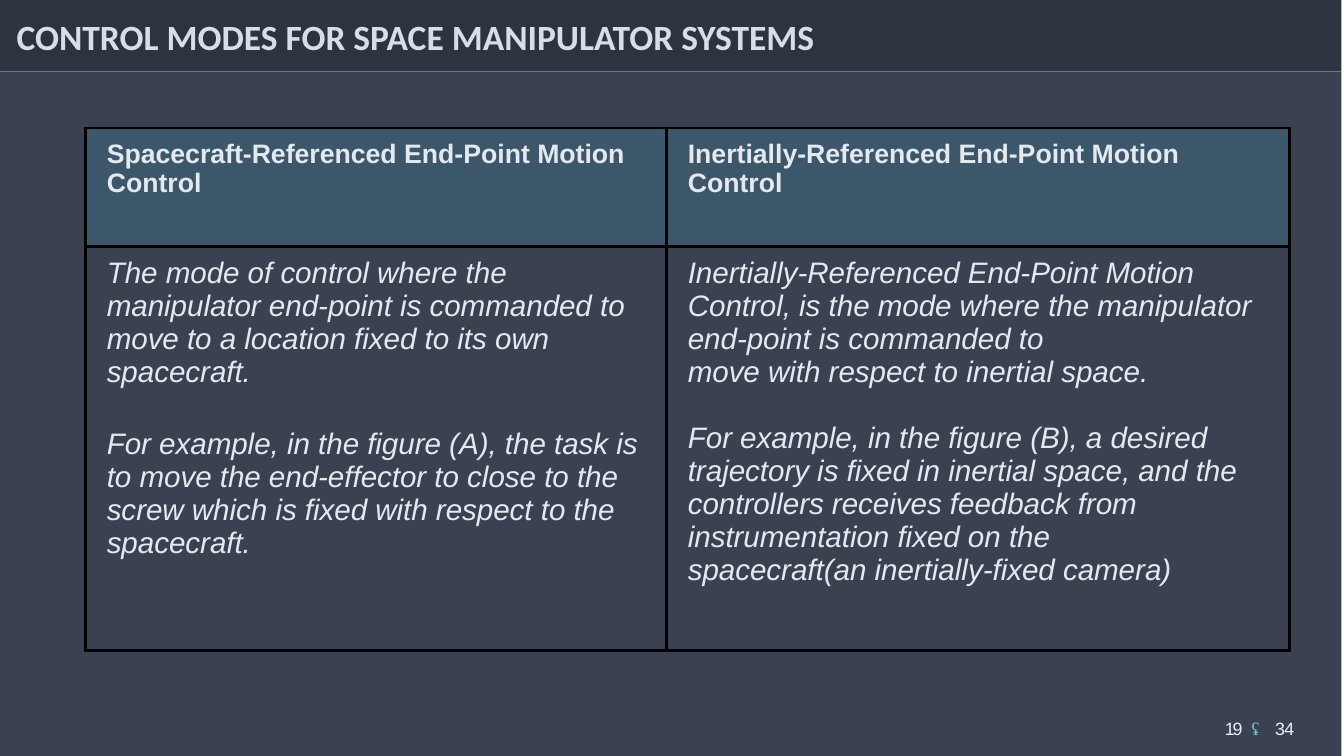
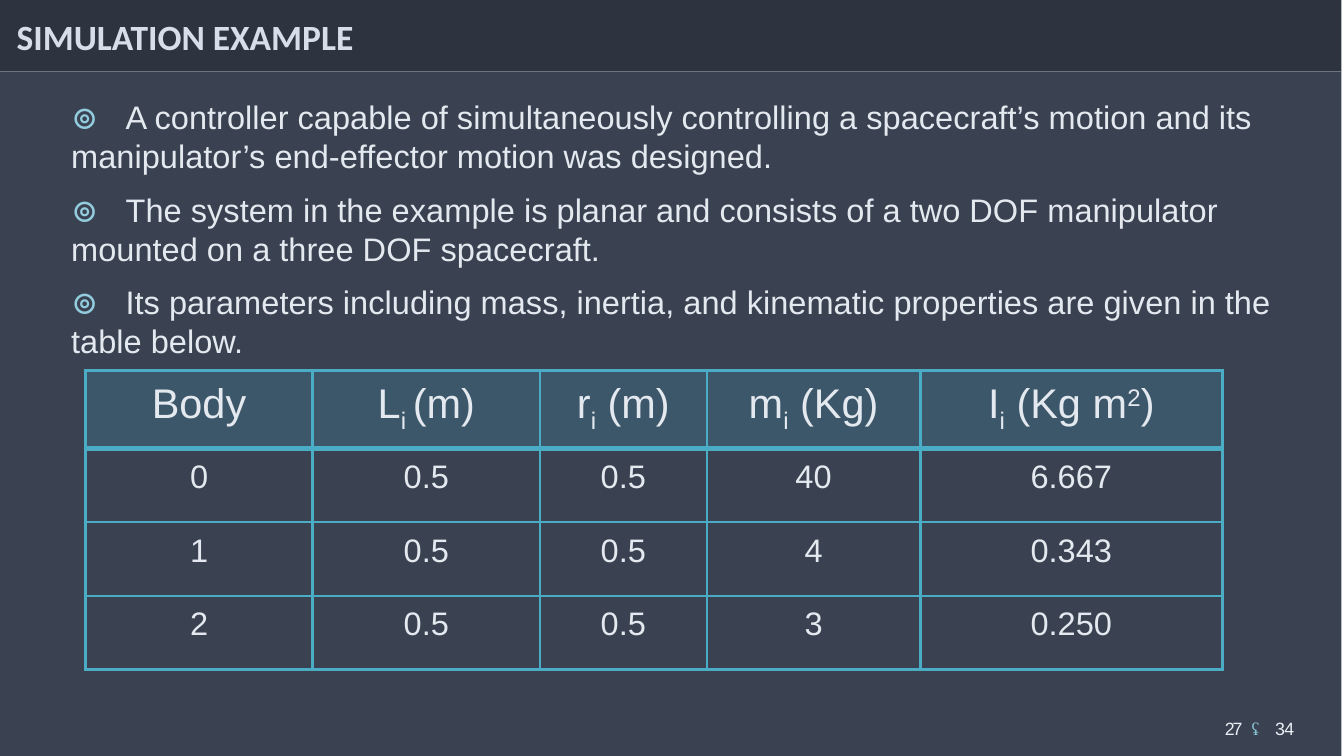
"""Build two slides on the control of space manipulators."""
from dataclasses import dataclass, field

from lxml import etree
from pptx import Presentation
from pptx.dml.color import RGBColor
from pptx.enum.shapes import MSO_CONNECTOR, MSO_SHAPE
from pptx.enum.text import PP_ALIGN
from pptx.oxml.ns import qn
from pptx.util import Cm, Pt

RECTANGLE = MSO_SHAPE.RECTANGLE
STRAIGHT = MSO_CONNECTOR.STRAIGHT
LEFT, CENTER = PP_ALIGN.LEFT, PP_ALIGN.CENTER

COLORS = {
    "body": "3A4252",
    "band": "2D3440",
    "seam": "6B757F",
    "title": "D7DEE9",
    "text": "E4E9EF",
    "header": "3D576A",
    "number": "EBEEF4",
    "ornament": "87C0D0",
    "bullet": "93CDDD",
    "black": "000000",
    "grid": "4BACC6",
}
WIDTH, HEIGHT = 16.03, 9.02
PANEL_WIDTH, BAND_HEIGHT = 16.0, 0.85
LAST_PAGE = "34"
SUB, SUP = -25, 30


@dataclass
class Run:
    """A piece of text with its own format."""
    text: str
    fmt: dict = field(default_factory=dict)


@dataclass
class Para:
    """A paragraph with its spacing, indent and tab stops."""
    runs: list[Run]
    before: float = 0
    after: float = 0
    align: PP_ALIGN = LEFT
    indent: float = 0
    tabs: tuple[float, ...] = ()


@dataclass
class Grid:
    """A table with its column widths, row heights and look."""
    left: float
    top: float
    cols: list[float]
    rows: list[float]
    cells: list[list[list[Para]]]
    border: str
    header_rule: float


def rgb(name: str) -> RGBColor:
    """Return a named colour."""
    return RGBColor.from_string(COLORS[name])


def add_run(p, text: str, *, size: float = 11, font: str = "Arial", color: str = "text",
            bold: bool = False, italic: bool = False, spacing: float = 0, base: int = 0) -> None:
    """Add formatted text to a paragraph, with a line break at each newline."""
    for i, line in enumerate(text.split("\n")):
        if i:
            p.add_line_break()
        r = p.add_run()
        r.text = line
        r.font.size, r.font.name = Pt(size), font
        r.font.bold, r.font.italic = bold, italic
        r.font.color.rgb = rgb(color)
        rpr = r._r.get_or_add_rPr()
        if spacing:
            rpr.set("spc", str(round(spacing * 100)))
        if base:
            rpr.set("baseline", str(base * 1000))


def fill_frame(tf, paras: list[Para]) -> None:
    """Write paragraphs into a text frame."""
    for i, para in enumerate(paras):
        p = tf.add_paragraph() if i else tf.paragraphs[0]
        p.alignment = para.align
        p.space_before, p.space_after = Pt(para.before), Pt(para.after)
        ppr = p._p.get_or_add_pPr()
        if para.indent:
            ppr.set("marL", str(Cm(para.indent)))
        if para.tabs:
            stops = etree.SubElement(ppr, qn("a:tabLst"))
            for stop in para.tabs:
                etree.SubElement(stops, qn("a:tab"), pos=str(Cm(stop)), algn="l")
        for run in para.runs:
            add_run(p, run.text, **run.fmt)


def add_text(s, left: float, top: float, width: float, height: float, paras: list[Para]) -> None:
    """Add a text box with narrow margins."""
    tf = s.shapes.add_textbox(Cm(left), Cm(top), Cm(width), Cm(height)).text_frame
    tf.word_wrap = True
    tf.margin_left = tf.margin_right = tf.margin_bottom = 0
    tf.margin_top = Cm(0.03)
    fill_frame(tf, paras)


def add_panel(s, top: float, height: float, color: str) -> None:
    """Add a full-width plain rectangle."""
    sp = s.shapes.add_shape(RECTANGLE, 0, Cm(top), Cm(PANEL_WIDTH), Cm(height))
    sp.shadow.inherit = False
    sp.fill.solid()
    sp.fill.fore_color.rgb = rgb(color)
    sp.line.fill.background()


def add_seam(s) -> None:
    """Add the thin line under the title band."""
    y = Cm(BAND_HEIGHT)
    line = s.shapes.add_connector(STRAIGHT, 0, y, Cm(PANEL_WIDTH), y)
    line.line.color.rgb = rgb("seam")
    line.line.width = Pt(0.25)
    etree.SubElement(line._element.spPr, qn("a:effectLst"))


def add_border(cell, side: str, color: str, width: float) -> None:
    """Draw one border of a cell."""
    ln = etree.SubElement(cell._tc.get_or_add_tcPr(), qn(f"a:ln{side}"), w=str(Pt(width)))
    fill = etree.SubElement(ln, qn("a:solidFill"))
    etree.SubElement(fill, qn("a:srgbClr"), val=COLORS[color])


def add_grid(s, grid: Grid) -> None:
    """Add a table with a header row."""
    tbl = s.shapes.add_table(len(grid.rows), len(grid.cols), Cm(grid.left), Cm(grid.top),
                             Cm(sum(grid.cols)), Cm(sum(grid.rows))).table
    tbl.first_row = tbl.horz_banding = False
    for col, width in zip(tbl.columns, grid.cols):
        col.width = Cm(width)
    for i, (row, height) in enumerate(zip(tbl.rows, grid.rows)):
        row.height = Cm(height)
        for cell, paras in zip(row.cells, grid.cells[i]):
            for side in "LRTB":
                on_rule = (i, side) in ((0, "B"), (1, "T"))
                add_border(cell, side, grid.border, grid.header_rule if on_rule else 1)
            cell.fill.solid()
            cell.fill.fore_color.rgb = rgb("body" if i else "header")
            fill_frame(cell.text_frame, paras)


def add_slide(prs, title: str, page: str):
    """Add a slide with its bands, title and page number."""
    s = prs.slides.add_slide(prs.slide_layouts[6])
    add_panel(s, BAND_HEIGHT, HEIGHT - BAND_HEIGHT, "body")
    add_panel(s, 0, BAND_HEIGHT, "band")
    add_seam(s)
    heading = Run(title, {"size": 12, "font": "Calibri", "color": "title", "bold": True})
    add_text(s, 0.17, 0.15, 13.77, 0.56, [Para([heading], before=0.9, indent=0.03)])
    number = {"size": 6, "color": "number"}
    ornament = {"size": 6, "font": "Times New Roman", "color": "ornament"}
    runs = [Run(page, number | {"spacing": -0.7}), Run("\t", number),
            Run("ʢ\t", ornament), Run(LAST_PAGE, number | {"spacing": -0.2})]
    add_text(s, 14.58, 8.53, 1.3, 0.28,
             [Para(runs, before=0.9, indent=0.03, tabs=(0.32, 0.6))])
    return s


def mode_header(text: str) -> list[Para]:
    """Return the header of a control mode."""
    return [Para([Run(text, {"size": 9, "bold": True})])]


def mode_body(gap: float, *texts: str) -> list[Para]:
    """Return the description of a control mode, with a gap between paragraphs."""
    return [Para([Run(text, {"size": 10, "italic": True})], before=gap if i else 0)
            for i, text in enumerate(texts)]


def bullet(text: str) -> Para:
    """Return a paragraph that begins with a ring."""
    ring = Run("⊚\t", {"font": "Cambria", "color": "bullet"})
    return Para([ring, Run(text)], before=0.9, after=4, indent=0.03, tabs=(0.65,))


def symbol_header(*parts: tuple[str, int]) -> list[Para]:
    """Return a centred header made of parts with their baselines."""
    return [Para([Run(text, {"size": 14, "base": base}) for text, base in parts], align=CENTER)]


def build_modes(prs) -> None:
    """Build the slide that compares the control modes."""
    s = add_slide(prs, "CONTROL MODES FOR SPACE MANIPULATOR SYSTEMS", "19")
    headers = [mode_header("Spacecraft-Referenced End-Point Motion Control"),
               mode_header("Inertially-Referenced End-Point Motion Control")]
    bodies = [
        mode_body(13.2,
                  "The mode of control where the manipulator end-point is commanded to move "
                  "to a location fixed to its own spacecraft.",
                  "For example, in the figure (A), the task is to move the end-effector to close "
                  "to the screw which is fixed with respect to the spacecraft."),
        mode_body(11.2,
                  "Inertially-Referenced End-Point Motion Control, is the mode where the "
                  "manipulator end-point is commanded to\nmove with respect to inertial space.",
                  "For example, in the figure (B), a desired trajectory is fixed in inertial "
                  "space, and the controllers receives feedback from instrumentation fixed on "
                  "the\nspacecraft(an inertially-fixed camera)"),
    ]
    add_grid(s, Grid(1.02, 1.53, [6.93, 7.43], [1.41, 4.82], [headers, bodies], "black", 1))


def build_simulation(prs) -> None:
    """Build the slide with the simulation parameters."""
    s = add_slide(prs, "SIMULATION EXAMPLE", "27")
    add_text(s, 0.82, 1.13, 14.4, 3.2, [bullet(text) for text in (
        "A controller capable of simultaneously controlling a spacecraft’s motion and its "
        "manipulator’s end-effector motion was designed.",
        "The system in the example is planar and consists of a two DOF manipulator mounted "
        "on a three DOF spacecraft.",
        "Its parameters including mass, inertia, and kinematic properties are given in the "
        "table below.",
    )])
    headers = [
        symbol_header(("Body", 0)),
        symbol_header(("L", 0), ("i ", SUB), ("(m)", 0)),
        symbol_header(("r", 0), ("i", SUB), (" (m)", 0)),
        symbol_header(("m", 0), ("i", SUB), (" (Kg)", 0)),
        symbol_header(("I", 0), ("i", SUB), (" (Kg m", 0), ("2", SUP), (")", 0)),
    ]
    values = [("0", "0.5", "0.5", "40", "6.667"),
              ("1", "0.5", "0.5", "4", "0.343"),
              ("2", "0.5", "0.5", "3", "0.250")]
    bodies = [[[Para([Run(value)], align=CENTER)] for value in row] for row in values]
    add_grid(s, Grid(1.02, 4.42, [2.71, 2.71, 1.99, 2.55, 3.6], [0.92] + [0.88] * 3,
                     [headers, *bodies], "grid", 2))


def main() -> None:
    """Build and save the presentation."""
    prs = Presentation()
    prs.slide_width, prs.slide_height = Cm(WIDTH), Cm(HEIGHT)
    build_modes(prs)
    build_simulation(prs)
    prs.save("out.pptx")


if __name__ == "__main__":
    main()
